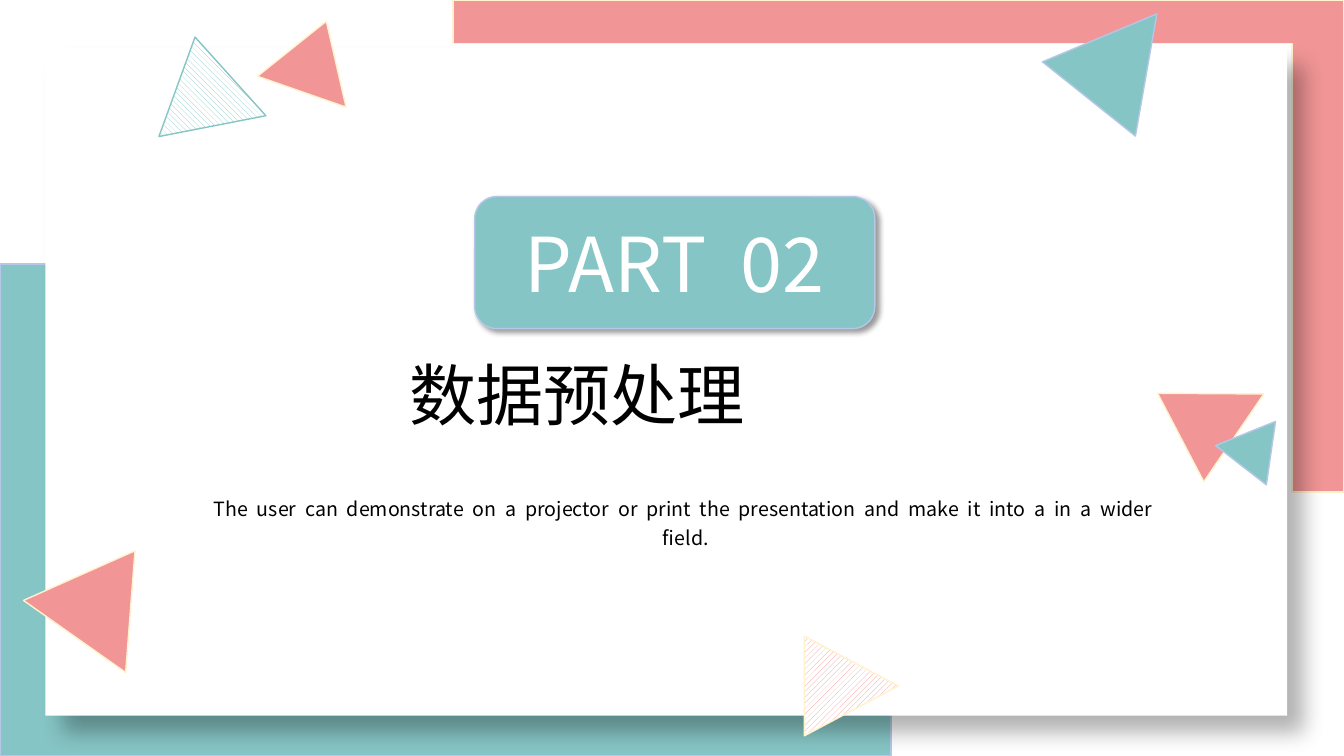
"""Builds the section slide for part 02, data preprocessing."""
from lxml.etree import SubElement
from pptx import Presentation
from pptx.dml.color import RGBColor
from pptx.enum.dml import MSO_PATTERN
from pptx.enum.shapes import MSO_SHAPE
from pptx.enum.text import MSO_ANCHOR, MSO_AUTO_SIZE, PP_ALIGN
from pptx.oxml.ns import qn
from pptx.util import Pt

FONT = "Noto Sans CJK SC"
COLORS = {
    "teal": "86C5C5",
    "coral": "F19596",
    "blue": "B4C7E7",
    "cream": "FFF2CC",
    "white": "FFFFFF",
    "black": "000000",
}
OUTLINES = {"teal": "blue", "coral": "cream"}
TRIANGLES = [
    ((106.6, 25.9, 77.8, 64.8), 349, "teal", "teal", MSO_PATTERN.WIDE_DOWNWARD_DIAGONAL),
    ((190.8, 13.7, 67, 53.3), 19.2, "coral", "cream", None),
    ((30.2, 386.6, 89.3, 74.9), 35.2, "coral", "cream", None),
    ((759.6, 1.4, 85, 77.8), 38.6, "teal", "blue", None),
    ((837.4, 263.5, 71.3, 67), 62.4, "coral", "cream", None),
    ((874.1, 308.2, 46.1, 39.6), 158, "teal", "blue", None),
    ((572.4, 456.5, 71.3, 67), 90, "coral", "cream", MSO_PATTERN.WIDE_UPWARD_DIAGONAL),
]


def color(name):
    """Return the named colour."""
    return RGBColor.from_string(COLORS[name])


def add_block(page, kind, bounds, fill, outline=None, rotation=0):
    """Add a preset shape with a plain fill and an optional outline."""
    shape = page.shapes.add_shape(kind, *map(Pt, bounds))
    shape.rotation = rotation
    shape.shadow.inherit = False
    shape.fill.solid()
    shape.fill.fore_color.rgb = color(fill)
    if outline:
        shape.line.color.rgb = color(outline)
        shape.line.width = Pt(1)
    else:
        shape.line.fill.background()
    return shape


def add_corner(page, left, top, fill, rotation):
    """Add an L-shaped band in a corner of the slide."""
    bounds = (left, top, 636.5, 351.4)
    band = add_block(page, MSO_SHAPE.RECTANGLE, bounds, fill, OUTLINES[fill], rotation)
    geometry = band.element.spPr.find(qn("a:prstGeom"))
    geometry.set("prst", "corner")
    guides = geometry.find(qn("a:avLst"))
    for name, value in (("adj1", 8800), ("adj2", 10600)):
        SubElement(guides, qn("a:gd"), name=name, fmla=f"val {value}")


def add_triangle(page, bounds, rotation, fill, outline, pattern):
    """Add a turned triangle, plain or hatched."""
    triangle = add_block(page, MSO_SHAPE.FLOWCHART_EXTRACT, bounds, fill, outline, rotation)
    if pattern is not None:
        triangle.fill.patterned()
        triangle.fill.pattern = pattern
        triangle.fill.fore_color.rgb = color(fill)
        triangle.fill.back_color.rgb = color("white")


def cast_shadow(shape, opacity, blur, distance):
    """Give a shape a black shadow towards the lower right."""
    effects = shape.element.spPr.find(qn("a:effectLst"))
    shadow = SubElement(effects, qn("a:outerShdw"), blurRad=str(Pt(blur)),
                        dist=str(Pt(distance)), dir=str(45 * 60000),
                        algn="tl", rotWithShape="0")
    tone = SubElement(shadow, qn("a:srgbClr"), val=COLORS["black"])
    SubElement(tone, qn("a:alpha"), val=str(opacity * 1000))


def write(shape, text, size, ink, align, anchor=MSO_ANCHOR.TOP, spacing=None):
    """Write one formatted paragraph into a shape."""
    frame = shape.text_frame
    frame.word_wrap = True
    frame.vertical_anchor = anchor
    para = frame.paragraphs[0]
    para.alignment = align
    para.line_spacing = spacing
    span = para.add_run()
    span.text = text
    span.font.size = Pt(size)
    span.font.color.rgb = color(ink)
    span.font.name = FONT
    properties = next(shape.element.iter(qn("a:rPr")))
    SubElement(properties, qn("a:ea"), typeface=FONT)


def place_title(page, bounds, text):
    """Move the title placeholder to the front and format it."""
    title = page.shapes.title
    title.left, title.top, title.width, title.height = map(Pt, bounds)
    title.element.getparent().append(title.element)
    write(title, text, 48, "black", PP_ALIGN.JUSTIFY, spacing=0.9)
    title.text_frame.auto_size = MSO_AUTO_SIZE.SHAPE_TO_FIT_TEXT


def add_caption(page, bounds, text):
    """Add the centred caption below the title."""
    box = page.shapes.add_textbox(*map(Pt, bounds))
    write(box, text, 14, "black", PP_ALIGN.CENTER, spacing=1.25)
    box.text_frame.auto_size = MSO_AUTO_SIZE.SHAPE_TO_FIT_TEXT


def main():
    """Build the slide and save it."""
    deck = Presentation()
    deck.slide_width, deck.slide_height = Pt(960), Pt(540)
    page = deck.slides.add_slide(deck.slide_layouts.get_by_name("Title Only"))

    add_corner(page, 0, 188.6, "teal", 0)
    add_corner(page, 323.5, 0, "coral", 180)
    panel = add_block(page, MSO_SHAPE.RECTANGLE, (32.4, 34.6, 887, 476.6), "white")
    cast_shadow(panel, 30, 15, 18)
    for triangle in TRIANGLES:
        add_triangle(page, *triangle)

    badge = add_block(page, MSO_SHAPE.ROUNDED_RECTANGLE,
                      (339.1, 140.4, 285.8, 94.3), "teal", "blue")
    cast_shadow(badge, 40, 4, 3)
    write(badge, "PART  02", 54, "white", PP_ALIGN.CENTER, MSO_ANCHOR.MIDDLE)
    place_title(page, (285.1, 255.6, 409.7, 65.5), "数据预处理")
    add_caption(page, (141.8, 347, 696.2, 55.4),
                "The  user  can  demonstrate  on  a  projector  or  print  the  "
                "presentation  and  make  it  into  a  in  a  wider  field.")
    deck.save("out.pptx")


if __name__ == "__main__":
    main()
